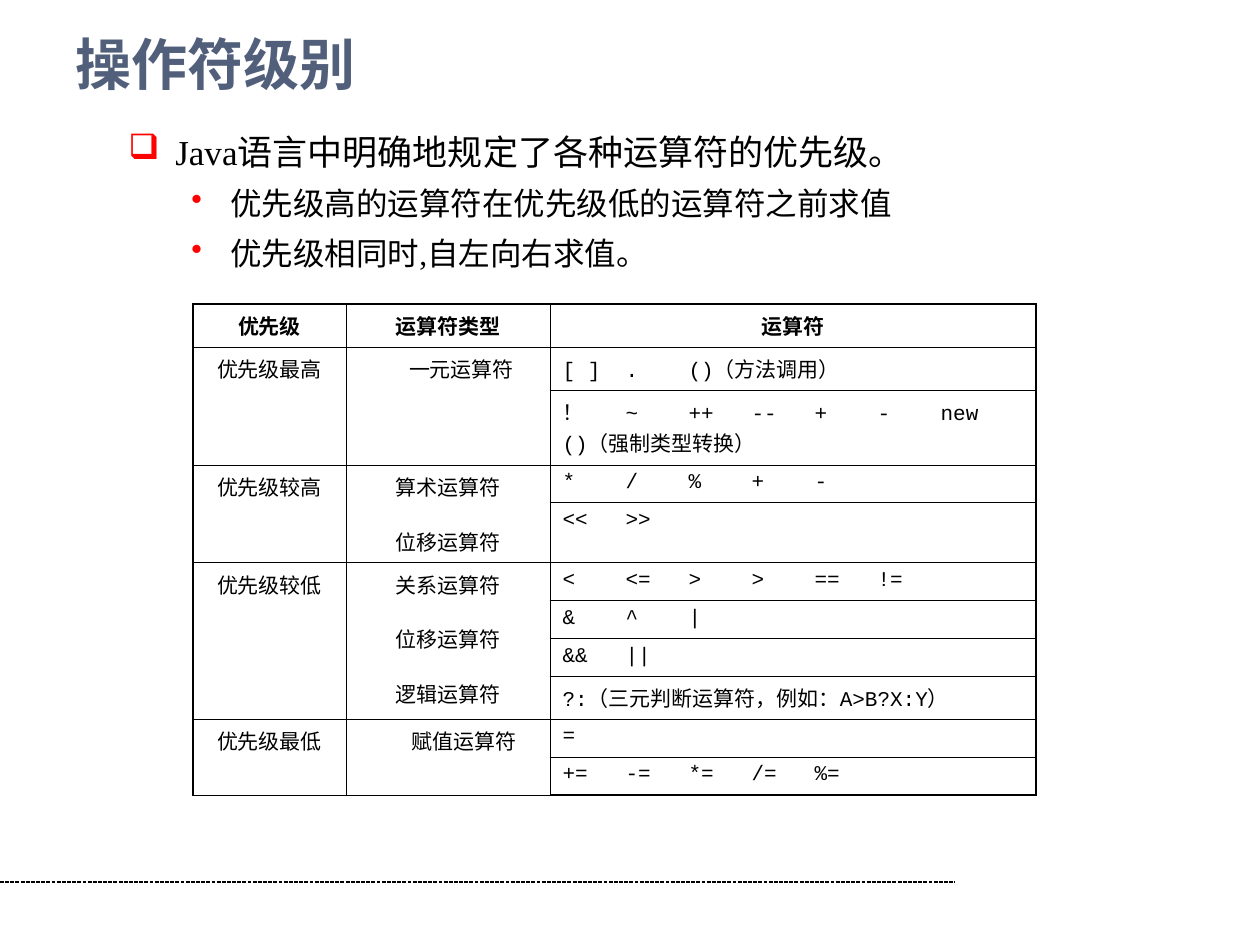
from lxml import etree
from pptx import Presentation
from pptx.dml.color import RGBColor
from pptx.enum.dml import MSO_LINE
from pptx.enum.shapes import MSO_CONNECTOR
from pptx.enum.text import MSO_ANCHOR, PP_ALIGN
from pptx.oxml.ns import qn
from pptx.util import Pt

EMU_PER_INCH = 914400
PX_PER_INCH = 126
CHARACTER_PX = 12.6
CENTER, LEFT = PP_ALIGN.CENTER, PP_ALIGN.LEFT
MIDDLE = MSO_ANCHOR.MIDDLE
STRAIGHT = MSO_CONNECTOR.STRAIGHT
DOTTED = MSO_LINE.SQUARE_DOT

BLACK = RGBColor(0x00, 0x00, 0x00)
WHITE = RGBColor(0xFF, 0xFF, 0xFF)
RED = RGBColor(0xFF, 0x00, 0x00)
SLATE = RGBColor(0x51, 0x5F, 0x7B)

CJK_FONT = "Noto Sans CJK SC"
SERIF_FONT = "Times New Roman"
CODE_FONT = "Courier New"

COLUMN_WIDTHS = (153, 204, 486)
ROW_HEIGHTS = (43, 43, 75, 37, 60, 37, 37, 37, 43, 37, 37)
HEADERS = ("优先级", "运算符类型", "运算符")
LEVELS = (
    (1, 2, "优先级最高", ("一元运算符",), 27),
    (3, 2, "优先级较高", ("算术运算符", "位移运算符"), 0),
    (5, 4, "优先级较低", ("关系运算符", "位移运算符", "逻辑运算符"), 0),
    (9, 2, "优先级最低", ("赋值运算符",), 32),
)
OPERATORS = (
    (("[ ]", ".", "()（方法调用）"),),
    (("！", "~", "++", "--", "+", "-", "new"), ("()（强制类型转换）",)),
    (("*", "/", "%", "+", "-"),),
    (("<<", ">>"),),
    (("<", "<=", ">", ">", "==", "!="),),
    (("&", "^", "|"),),
    (("&&", "||"),),
    (("?:（三元判断运算符，例如：A>B?X:Y）",),),
    (("=",),),
    (("+=", "-=", "*=", "/=", "%="),),
)


def px(length):
    """Turn px into EMU."""
    return round(length * EMU_PER_INCH / PX_PER_INCH)


def add_text(frame, text, size=12, font=SERIF_FONT, color=BLACK, bold=False,
             align=LEFT, before=0, indent=0, hanging=0, bullet=None, tabs=()):
    """Add one formatted paragraph to a text frame and return it."""
    paragraph = frame.paragraphs[0]
    if paragraph.runs:
        paragraph = frame.add_paragraph()
    paragraph.alignment = align
    paragraph.space_before = Pt(before)
    run = paragraph.add_run()
    run.text = text
    run.font.size = Pt(size)
    run.font.name = font
    run.font.bold = bold
    run.font.color.rgb = color
    east_asian = etree.SubElement(run.font._element, qn("a:ea"))
    east_asian.set("typeface", CJK_FONT)
    properties = paragraph._p.get_or_add_pPr()
    properties.set("marL", str(px(indent)))
    properties.set("indent", str(-px(hanging)))
    if bullet:
        bullet_color = etree.SubElement(properties, qn("a:buClr"))
        etree.SubElement(bullet_color, qn("a:srgbClr")).set("val", str(RED))
        etree.SubElement(properties, qn("a:buChar")).set("char", bullet)
    if tabs:
        tab_list = etree.SubElement(properties, qn("a:tabLst"))
        for position in tabs:
            tab = etree.SubElement(tab_list, qn("a:tab"))
            tab.set("pos", str(px(position)))
            tab.set("algn", "l")
    return paragraph


def add_frame(slide, left, top, width, height):
    """Add a wrapping text box and return its text frame."""
    frame = slide.shapes.add_textbox(px(left), px(top), px(width), px(height)).text_frame
    frame.word_wrap = True
    return frame


def add_title(slide, left, top, width, height):
    """Place the slide title."""
    frame = add_frame(slide, left, top, width, height)
    frame.vertical_anchor = MIDDLE
    add_text(frame, "操作符级别", size=32, font=CJK_FONT, color=SLATE, bold=True)


def add_rules(slide, left, top, width, height):
    """Place the precedence statement and its two points."""
    frame = add_frame(slide, left, top, width, height)
    frame.margin_top = px(4)
    add_text(frame, "Java语言中明确地规定了各种运算符的优先级。", size=20,
             indent=47, hanging=47, bullet="❑")
    for point in ("优先级高的运算符在优先级低的运算符之前求值", "优先级相同时,自左向右求值。"):
        paragraph = add_text(frame, point, size=18, before=7,
                             indent=102, hanging=39, bullet="•")
        paragraph.level = 1


def add_footer_line(slide, left, top, width):
    """Place the thin line at the foot of the slide."""
    line = slide.shapes.add_connector(STRAIGHT, px(left), px(top), px(left + width), px(top))
    line.line.color.rgb = BLACK
    line.line.width = Pt(0.75)
    line.line.dash_style = DOTTED
    etree.SubElement(line._element.spPr, qn("a:effectLst"))


def style_cell(cell, row, column):
    """Give a cell thin inner borders, thick outer borders and no fill."""
    properties = cell._tc.get_or_add_tcPr()
    outer_edges = {
        "a:lnL": column == 0,
        "a:lnR": column == len(COLUMN_WIDTHS) - 1,
        "a:lnT": row == 0,
        "a:lnB": row == len(ROW_HEIGHTS) - 1,
    }
    for edge, outer in outer_edges.items():
        border = etree.SubElement(properties, qn(edge))
        border.set("w", str(Pt(0.96 if outer else 0.45)))
        fill = etree.SubElement(border, qn("a:solidFill"))
        etree.SubElement(fill, qn("a:srgbClr")).set("val", str(BLACK))
    cell.fill.background()


def add_operators(frame, tokens):
    """Add one line of operators, two character widths apart."""
    tabs, characters = [], 0
    for token in tokens[:-1]:
        characters += len(token) + 2
        tabs.append(characters * CHARACTER_PX)
    add_text(frame, "\t".join(tokens), font=CODE_FONT, tabs=tabs)


def add_precedence_table(slide, left, top):
    """Place the table of operators by precedence."""
    shape = slide.shapes.add_table(len(ROW_HEIGHTS), len(COLUMN_WIDTHS), px(left), px(top),
                                   px(sum(COLUMN_WIDTHS)), px(sum(ROW_HEIGHTS)))
    table = shape.table
    table.first_row = table.horz_banding = False
    for column, width in enumerate(COLUMN_WIDTHS):
        table.columns[column].width = px(width)
    for row, height in enumerate(ROW_HEIGHTS):
        table.rows[row].height = px(height)
        for column in range(len(COLUMN_WIDTHS)):
            style_cell(table.cell(row, column), row, column)
    for column, header in enumerate(HEADERS):
        add_text(table.cell(0, column).text_frame, header, bold=True, align=CENTER)
    for row, span, level, kinds, indent in LEVELS:
        for column in (0, 1):
            table.cell(row, column).merge(table.cell(row + span - 1, column))
        add_text(table.cell(row, 0).text_frame, level, align=CENTER)
        for position, kind in enumerate(kinds):
            add_text(table.cell(row, 1).text_frame, kind, align=CENTER,
                     before=13.8 if position else 0, indent=indent)
    for row, lines in enumerate(OPERATORS, start=1):
        for tokens in lines:
            add_operators(table.cell(row, 2).text_frame, tokens)


def main():
    """Build and save the presentation."""
    presentation = Presentation()
    presentation.slide_width, presentation.slide_height = px(1260), px(945)
    slide = presentation.slides.add_slide(presentation.slide_layouts[6])
    slide.background.fill.solid()
    slide.background.fill.fore_color.rgb = WHITE
    add_footer_line(slide, 0, 882, 955)
    add_title(slide, 63, 32, 1140, 63)
    add_rules(slide, 116, 126, 1090, 208)
    add_precedence_table(slide, 193, 304)
    presentation.save("out.pptx")


if __name__ == "__main__":
    main()
